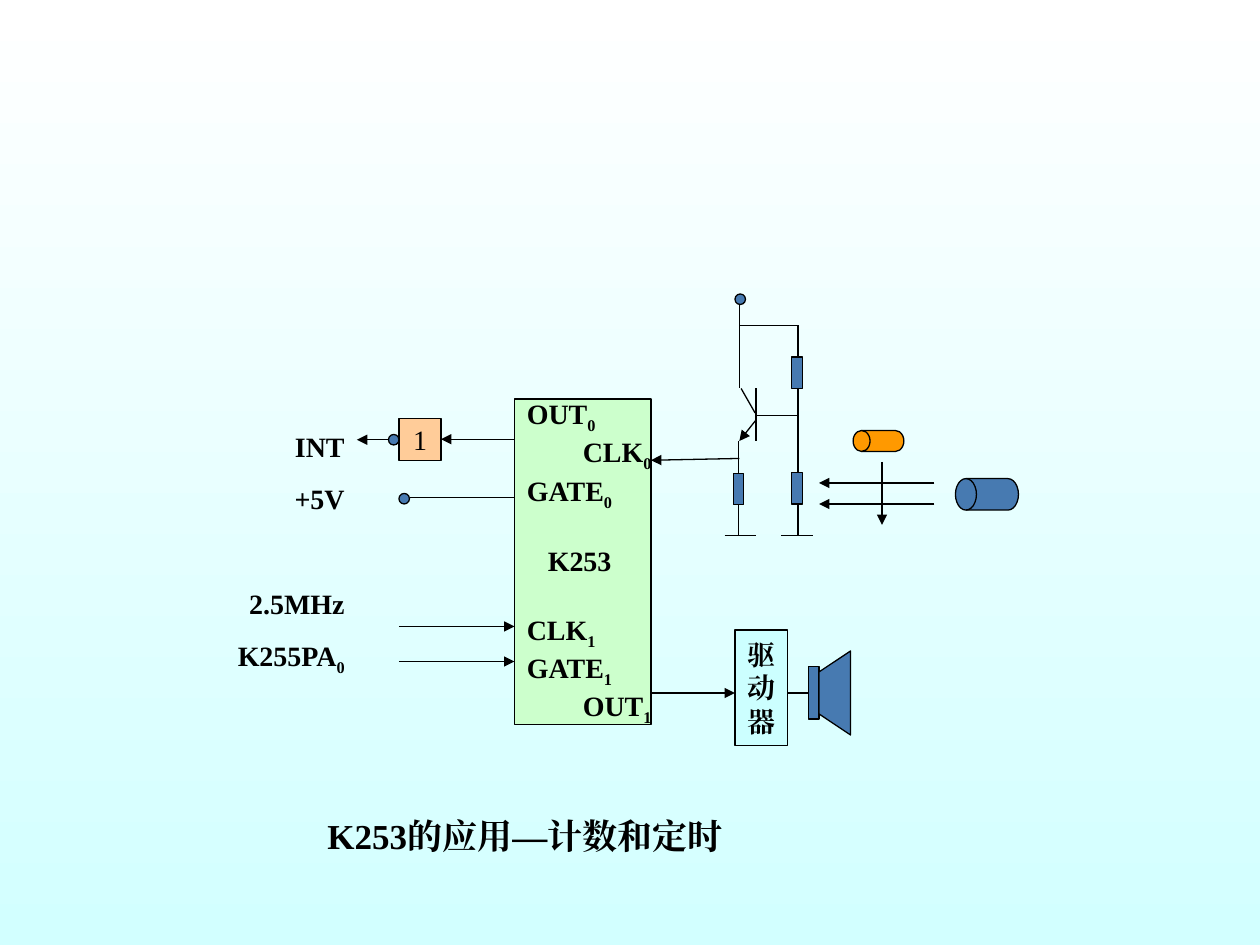
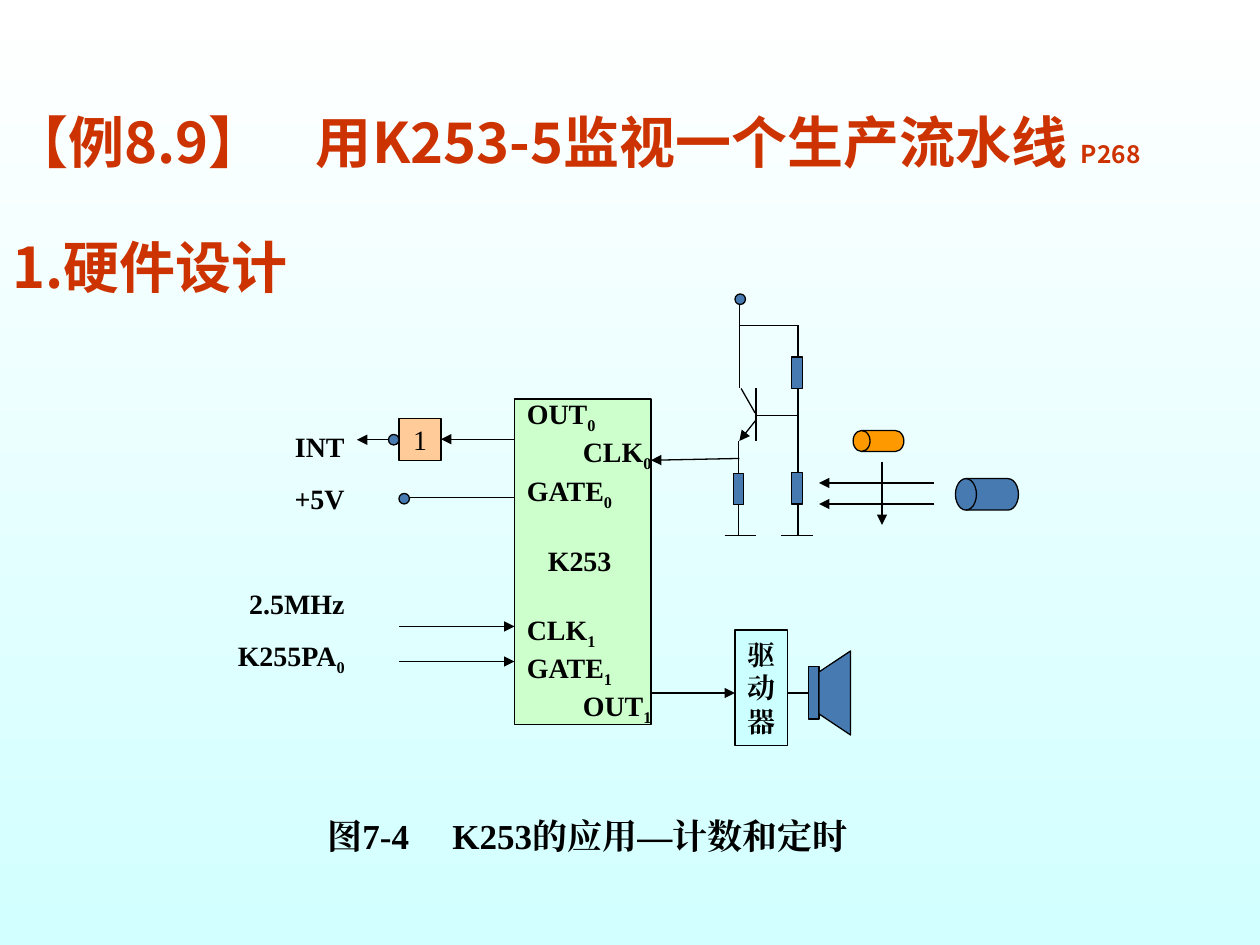
from dataclasses import dataclass
from typing import NamedTuple

from lxml.etree import SubElement
from pptx import Presentation
from pptx.dml.color import RGBColor
from pptx.enum.shapes import MSO_CONNECTOR, MSO_SHAPE
from pptx.enum.text import MSO_ANCHOR, PP_ALIGN
from pptx.oxml.ns import qn
from pptx.util import Pt


# Theme
@dataclass(frozen=True)
class Theme:
    black: str = "000000"
    heading: str = "CC3300"
    component: str = "477AB1"
    chip: str = "CCFFCC"
    inverter: str = "FFCC99"
    driver: str = "CCFFFF"
    product: str = "FF9900"
    background: tuple[str, str] = ("FFFFFF", "D2FFFF")
    serif: str = "Times New Roman"
    sans: str = "Noto Sans CJK SC"
    heading_size: float = 32
    caption_size: float = 20
    label_size: float = 16
    note_size: float = 14
    line_width: float = 0.75


THEME = Theme()
DRUM = MSO_SHAPE.FLOWCHART_DIRECT_ACCESS_STORAGE


class Box(NamedTuple):
    left: float
    top: float
    width: float
    height: float


class Style(NamedTuple):
    size: float = THEME.label_size
    font: str = THEME.serif
    color: str = THEME.black
    bold: bool = True


class Line(NamedTuple):
    """One paragraph; subscript and note follow the main text."""
    text: str
    subscript: str = ""
    note: str = ""
    before: float = 0
    indent: float = 0
    tab: float = 0
    spacing: float = 1


class Part(NamedTuple):
    kind: MSO_SHAPE
    box: Box
    color: str = THEME.component


class Wire(NamedTuple):
    x1: float
    y1: float
    x2: float
    y2: float
    arrow: bool = False


LABEL = Style()
PLAIN_LABEL = Style(bold=False)
CAPTION = Style(size=THEME.caption_size)
HEADING = Style(THEME.heading_size, THEME.sans, THEME.heading)
NOTE = HEADING._replace(size=THEME.note_size)

# Circuit data
CHIP_BOX = Box(294, 228, 78, 186)
INVERTER_BOX = Box(228, 239, 24, 24)
DRIVER_BOX = Box(420, 360, 30, 66)
SPEAKER_BOX = Box(462, 381, 6, 30)
CONE = [(486, 372), (468, 384), (468, 408), (486, 420)]
RIGHT_PIN = 32

CHIP_LINES = [
    Line("OUT", "0"),
    Line("CLK", "0", indent=RIGHT_PIN),
    Line("GATE", "0"),
    Line("K253", before=18.4, indent=12),
    Line("CLK", "1", before=20),
    Line("GATE", "1"),
    Line("OUT", "1", indent=RIGHT_PIN),
]
INPUT_LINES = [
    Line("INT"),
    Line("+5V", before=10.7),
    Line("2.5MHz", before=40.5),
    Line("K255PA", "0", before=10.7),
]

WIRES = [
    # Chip inputs and outputs
    Wire(228, 358, 294, 358, True),
    Wire(228, 378, 294, 378, True),
    Wire(234, 284.5, 294, 284.5),
    Wire(422.5, 262, 372, 263, True),
    Wire(222, 251.3, 204, 251.3, True),
    Wire(372, 396, 420, 396, True),
    # Phototransistor and its supply
    Wire(422.5, 168, 422.5, 222),
    Wire(423.5, 222, 431.5, 236),
    Wire(432, 222, 432, 252),
    Wire(432, 240, 422.5, 252, True),
    Wire(432, 237.5, 456, 237.5),
    Wire(422.5, 186, 456, 186),
    # Rails down to ground
    Wire(422, 252, 422, 306),
    Wire(456, 186, 456, 306),
    Wire(414, 306, 432, 306),
    Wire(446.5, 306, 464.5, 306),
    # Light beams and product movement
    Wire(534, 276, 468, 276, True),
    Wire(534, 288, 468, 288, True),
    Wire(504, 264, 504, 300, True),
]

TERMINALS = [(228, 282), (222, 248.3), (420, 168)]
RESISTORS = [(419, 270.5), (452.5, 270), (452.5, 204)]
PARTS = [
    *(Part(MSO_SHAPE.OVAL, Box(x, y, 6, 6)) for x, y in TERMINALS),
    *(Part(MSO_SHAPE.RECTANGLE, Box(x, y, 6, 18)) for x, y in RESISTORS),
    Part(DRUM, Box(546, 273.5, 36, 18)),
    Part(DRUM, Box(487.5, 246, 29, 12), THEME.product),
]


# Text
def add_run(paragraph, text: str, style: Style, subscript: bool = False) -> None:
    run = paragraph.add_run()
    run.text = text
    font = run.font
    font.size = Pt(style.size)
    font.bold = style.bold
    font.name = style.font
    font.color.rgb = RGBColor.from_string(style.color)
    properties = run._r.get_or_add_rPr()
    SubElement(properties, qn("a:ea"), typeface=style.font)
    if subscript:
        properties.set("baseline", "-25000")


def fill_text(shape, lines: list[Line], style: Style,
              align: PP_ALIGN = PP_ALIGN.LEFT, wrap: bool = True) -> None:
    frame = shape.text_frame
    frame.word_wrap = wrap
    for index, line in enumerate(lines):
        paragraph = frame.add_paragraph() if index else frame.paragraphs[0]
        properties = paragraph._p.get_or_add_pPr()
        if line.indent:
            properties.set("marL", str(Pt(line.indent)))
        if line.tab:
            tabs = SubElement(properties, qn("a:tabLst"))
            SubElement(tabs, qn("a:tab"), pos=str(Pt(line.tab)), algn="l")
        paragraph.alignment = align
        paragraph.line_spacing = line.spacing
        if line.before:
            paragraph.space_before = Pt(line.before)
        add_run(paragraph, line.text, style)
        if line.subscript:
            add_run(paragraph, line.subscript, style, subscript=True)
        if line.note:
            add_run(paragraph, line.note, NOTE)


def add_text(slide, box: Box, lines: list[Line], style: Style,
             align: PP_ALIGN = PP_ALIGN.LEFT) -> None:
    shape = slide.shapes.add_textbox(*map(Pt, box))
    fill_text(shape, lines, style, align)


# Shapes and wires
def paint(shape, color: str) -> None:
    shape.shadow.inherit = False
    shape.fill.solid()
    shape.fill.fore_color.rgb = RGBColor.from_string(color)
    shape.line.color.rgb = RGBColor.from_string(THEME.black)
    shape.line.width = Pt(THEME.line_width)


def add_part(slide, part: Part):
    shape = slide.shapes.add_shape(part.kind, *map(Pt, part.box))
    paint(shape, part.color)
    if part.kind == DRUM:
        shape._element.spPr.get_or_add_xfrm().set("flipH", "1")
    return shape


def add_block(slide, box: Box, color: str, lines: list[Line],
              style: Style = LABEL, align: PP_ALIGN = PP_ALIGN.CENTER):
    shape = add_part(slide, Part(MSO_SHAPE.RECTANGLE, box, color))
    shape.text_frame.vertical_anchor = MSO_ANCHOR.MIDDLE
    fill_text(shape, lines, style, align, wrap=False)
    return shape


def add_wire(slide, wire: Wire):
    ends = map(Pt, (wire.x1, wire.y1, wire.x2, wire.y2))
    connector = slide.shapes.add_connector(MSO_CONNECTOR.STRAIGHT, *ends)
    connector.line.color.rgb = RGBColor.from_string(THEME.black)
    connector.line.width = Pt(THEME.line_width)
    if wire.arrow:
        SubElement(connector.line._get_or_add_ln(), qn("a:tailEnd"), type="triangle")
    SubElement(connector._element.spPr, qn("a:effectLst"))
    return connector


def add_cone(slide) -> None:
    start, *others = [(Pt(x), Pt(y)) for x, y in CONE]
    builder = slide.shapes.build_freeform(*start)
    builder.add_line_segments(others, close=True)
    paint(builder.convert_to_shape(), THEME.component)


def draw_circuit(slide) -> None:
    add_block(slide, CHIP_BOX, THEME.chip, CHIP_LINES, align=PP_ALIGN.LEFT)
    inverter = add_block(slide, INVERTER_BOX, THEME.inverter, [Line("1")], PLAIN_LABEL)
    add_block(slide, DRIVER_BOX, THEME.driver, [Line(text) for text in "驱动器"])
    speaker = add_part(slide, Part(MSO_SHAPE.RECTANGLE, SPEAKER_BOX))
    add_cone(slide)
    for wire in WIRES:
        add_wire(slide, wire)
    for part in PARTS:
        add_part(slide, part)
    add_wire(slide, Wire(294, 251, 252, 251, True)).end_connect(inverter, 3)
    add_wire(slide, Wire(450, 396, 462, 396)).end_connect(speaker, 1)
    add_text(slide, Box(120, 242, 84, 146), INPUT_LINES, LABEL, PP_ALIGN.RIGHT)


# Slides
def set_background(master) -> None:
    fill = master.background.fill
    fill.gradient()
    fill.gradient_angle = 270
    for position, (stop, color) in enumerate(zip(fill.gradient_stops, THEME.background)):
        stop.position = position
        stop.color.rgb = RGBColor.from_string(color)


def add_circuit_slide(presentation, caption: Line):
    slide = presentation.slides.add_slide(presentation.slide_layouts[6])
    draw_circuit(slide)
    add_text(slide, Box(180, 462, 324, 32), [caption], CAPTION)
    return slide


def main() -> None:
    presentation = Presentation()
    presentation.slide_width, presentation.slide_height = Pt(720), Pt(540)
    set_background(presentation.slide_master)

    add_circuit_slide(presentation, Line("K253的应用—计数和定时"))

    example = add_circuit_slide(
        presentation, Line("图7-4\tK253的应用—计数和定时", tab=71.5))
    headings = [
        Line("【例8.9】\t用K253-5监视一个生产流水线 ", note="P268", tab=173.5, spacing=0.8),
        Line("1.硬件设计", before=40.5, spacing=0.8),
    ]
    add_text(example, Box(0, 65.5, 695, 126), headings, HEADING)

    presentation.save("out.pptx")


if __name__ == "__main__":
    main()
